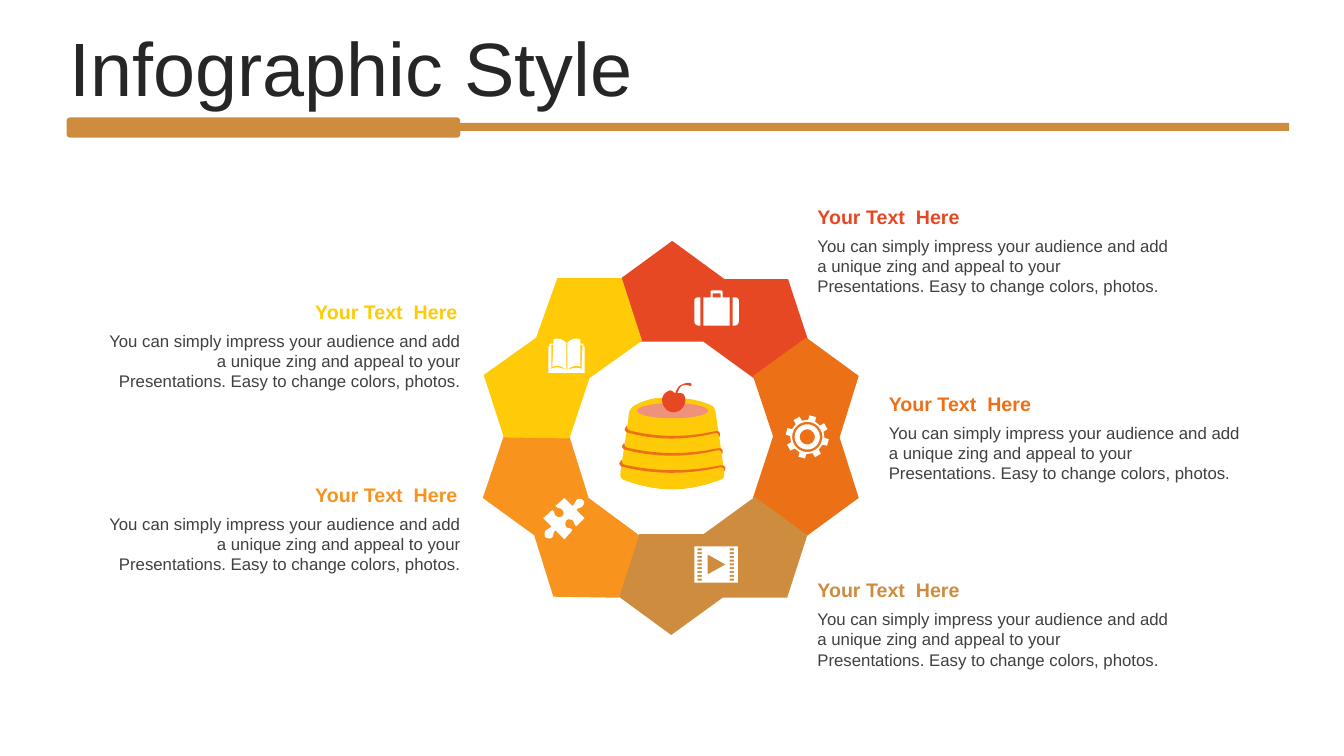
import math

import pptx
import pptx.util
from pptx.dml.color import RGBColor
from pptx.enum.shapes import MSO_SHAPE
from pptx.enum.text import MSO_ANCHOR, PP_ALIGN
from pptx.util import Cm

RED = RGBColor(0xE6, 0x48, 0x23)
ORANGE = RGBColor(0xEC, 0x70, 0x16)
BROWN = RGBColor(0xCE, 0x8D, 0x3E)
AMBER = RGBColor(0xF8, 0x93, 0x1D)
YELLOW = RGBColor(0xFF, 0xCA, 0x08)
PINK = RGBColor(0xF0, 0x91, 0x7B)
WHITE = RGBColor(0xFF, 0xFF, 0xFF)
TITLE_GREY = RGBColor(0x26, 0x26, 0x26)
BODY_GREY = RGBColor(0x40, 0x40, 0x40)

UNIT = Cm(2.54) / 100  # outlines are given in hundredths of an inch
CURVE_STEPS = 8

deck = pptx.Presentation()
deck.slide_width, deck.slide_height = Cm(33.87), Cm(19.05)
slide = deck.slides.add_slide(deck.slide_layouts[6])


def trace(outline):
    """Turn M, L and C commands into lists of points, one per contour."""
    contours, command, numbers = [], "M", []
    for word in outline.split():
        if word in "MLC":
            command = word
            continue
        numbers.append(float(word))
        if len(numbers) < (6 if command == "C" else 2):
            continue
        ends = list(zip(numbers[::2], numbers[1::2]))
        numbers = []
        if command == "M":
            contours.append(ends)
        elif command == "L":
            contours[-1] += ends
        else:
            knots = [contours[-1][-1]] + ends
            for step in range(1, CURVE_STEPS + 1):
                t = step / CURVE_STEPS
                weights = [math.comb(3, k) * t**k * (1 - t)**(3 - k) for k in range(4)]
                contours[-1].append(tuple(
                    sum(w * knot[axis] for w, knot in zip(weights, knots)) for axis in (0, 1)))
    return contours


def draw(contours, color):
    """Draw closed contours as one filled shape."""
    scaled = [[(x * UNIT, y * UNIT) for x, y in contour] for contour in contours]
    builder = slide.shapes.build_freeform(*scaled[0][0], scale=1.0)
    for number, points in enumerate(scaled):
        if number:
            builder.move_to(*points[0])
        builder.add_line_segments(points[1:], close=True)
    figure = builder.convert_to_shape()
    figure.shadow.inherit = False
    figure.fill.solid()
    figure.fill.fore_color.rgb = color
    figure.line.fill.background()


# Title with its rule
for preset, left, top, width, height in (
        (MSO_SHAPE.RECTANGLE, 7.34, 3.1, 25.15, 0.2),
        (MSO_SHAPE.ROUNDED_RECTANGLE, 1.68, 2.96, 9.92, 0.51)):
    bar = slide.shapes.add_shape(preset, Cm(left), Cm(top), Cm(width), Cm(height))
    bar.shadow.inherit = False
    bar.fill.solid()
    bar.fill.fore_color.rgb = BROWN
    bar.line.fill.background()

title = slide.shapes.add_textbox(Cm(1.5), Cm(0.81), Cm(30.91), Cm(2.01)).text_frame
title.word_wrap = True
title.vertical_anchor = MSO_ANCHOR.MIDDLE
heading = title.paragraphs[0]
heading.line_spacing = 0.9
heading.space_before = pptx.util.Pt(10)
words = heading.add_run()
words.text = "Infographic Style"
words.font.name, words.font.size = "Arial", pptx.util.Pt(54)
words.font.color.rgb = TITLE_GREY

# Ring of five segments
for outline, color in (
        ("M 667 239 L 719 277 782 277 802 338 749 376 698 339 635 339 615 277", RED),
        ("M 800 335 L 852 373 833 434 852 494 800 532 747 494 767 433 747 373", ORANGE),
        ("M 749 493 L 801 531 781 593 717 593 666 630 614 592 634 530 698 530", BROWN),
        ("M 500 432 L 565 433 584 494 634 531 614 593 549 592 530 531 479 494", AMBER),
        ("M 553 276 L 617 276 637 338 585 375 565 435 500 434 480 372 532 335", YELLOW)):
    draw(trace(outline), color)

# Callouts: heading above a short text
BLURB = ("You can simply impress your audience and add a unique zing and appeal "
         "to your Presentations. Easy to change colors, photos.")
for left, top, color, align in (
        (20.35, 14.45, BROWN, PP_ALIGN.LEFT),
        (22.15, 9.75, ORANGE, PP_ALIGN.LEFT),
        (20.35, 5.05, RED, PP_ALIGN.LEFT),
        (2.46, 12.04, AMBER, PP_ALIGN.RIGHT),
        (2.46, 7.44, YELLOW, PP_ALIGN.RIGHT)):
    for text, offset, width, height, size, bold, ink in (
            (BLURB, 0.77, 9.4, 1.8, 12, False, BODY_GREY),
            ("Your Text  Here", 0, 9.32, 0.86, 14, True, color)):
        callout = slide.shapes.add_textbox(
            Cm(left), Cm(top + offset), Cm(width), Cm(height)).text_frame
        callout.word_wrap = True
        callout.paragraphs[0].alignment = align
        words = callout.paragraphs[0].add_run()
        words.text = text
        words.font.name, words.font.size = "Arial", pptx.util.Pt(size)
        words.font.bold = bold
        words.font.color.rgb = ink

# Puzzle, book and suitcase icons
PUZZLE = """M 578 496 C 580 497 580 500 578 502 577 504 574 503 572 506 L 580 514 572 522
    C 569 520 570 518 568 516 566 515 563 515 562 516 561 518 560 521 562 523
    565 525 566 523 568 526 L 560 535 551 526 C 548 529 550 530 548 533
    546 535 543 534 541 533 540 531 540 529 541 527 543 524 545 525 547 522
    L 539 514 548 506 C 551 508 549 510 552 512 554 514 556 513 558 512
    559 511 560 508 558 506 555 503 554 505 551 502 L 560 494 568 502
    C 571 499 570 499 572 496 574 494 577 495 578 496"""
BOOK = """M 562 367 C 562 367 563 367 563 367 569 365 571 364 577 366 L 578 342 576 342 576 364
    C 572 362 567 363 563 367 L 563 340 C 565 338 568 336 571 336 572 336 574 336 576 337
    L 576 341 579 341 579 344 580 344 580 370 544 370 544 344 545 344 545 341 549 341 549 337
    C 550 336 552 336 553 336 557 336 559 338 562 340 L 562 367
    C 557 363 553 362 548 364 L 549 342 547 342 547 366 C 553 363 556 365 562 367"""
SUITCASE = """M 727 295 L 729 295 C 731 295 733 296 733 298 L 733 319 C 733 321 731 323 729 323 L 727 323
    M 693 295 L 695 295 695 323 693 323 C 691 323 689 321 689 319 L 689 298 C 689 296 691 295 693 295
    M 709 291 C 708 291 707 291 707 292 L 707 295 715 295 715 292 C 715 291 714 291 714 291
    M 707 288 L 715 288 C 716 288 717 289 717 290 L 717 295 724 295 724 323 698 323 698 295 705 295
    705 290 C 705 289 706 288 707 288"""
for icon in (PUZZLE, BOOK, SUITCASE):
    draw(trace(icon), WHITE)

# Film icon: frame, play triangle and two columns of nine holes
film = "M 689 542 L 732 542 732 578 689 578 M 702 550 L 702 570 720 560"
for row in range(9):
    y = 544 + 3.75 * row
    for x in (692, 724):
        film += f" M {x} {y} L {x} {y + 2} {x + 4.5} {y + 2} {x + 4.5} {y}"
draw(trace(film), WHITE)

# Gear icon: eight teeth around three circles
polar = [[(radius, 45 * tooth - 75 + turn) for tooth in range(8)
          for radius, turn in ((17, -12), (21.5, -9), (21.5, 9), (17, 12))]]
polar += [[(radius, angle) for angle in range(0, 360, 10)] for radius in (15, 12.5, 7.5)]
draw([[(801 + r * math.cos(math.radians(a)), 433.5 + r * math.sin(math.radians(a)))
       for r, a in contour] for contour in polar], WHITE)

# Cake: body, icing, three stripes and a cherry
draw(trace("""M 718 465 C 718 464 711 415 710 410 710 405 707 402 703 401 683 392 654 395 651 395
    644 396 638 398 632 401 627 403 625 406 624 410 624 415 616 464 616 465
    615 475 615 475 624 478 653 488 681 488 709 478 719 475 719 475 718 465"""), YELLOW)

icing = slide.shapes.add_shape(MSO_SHAPE.OVAL, Cm(16.05), Cm(10.16), Cm(1.8), Cm(0.38))
icing.shadow.inherit = False
icing.fill.solid()
icing.fill.fore_color.rgb = PINK
icing.line.fill.background()

STRIPE = """M -50.5 0 C -50.5 5 -48.5 5 -43.5 6 -14.5 12 15.5 12 45.5 6 50.5 5 53.5 6 51.5 12
    50.5 8 49.5 7 45.5 8 13.5 15 -18.5 15 -50.5 7 -55.5 4 -51.5 2 -50.5 0"""
for top, stretch in ((456, 1), (439, 0.95), (422, 0.9)):
    draw([[(667.5 + stretch * x, top + y) for x, y in contour]
          for contour in trace(STRIPE)], ORANGE)

draw(trace("""M 680 398 C 680 394 679 392 678 391 675 389 674 390 672 390 673 388 674 385 675 384
    677 382 681 381 685 383 686 383 687 381 685 380 682 379 677 381 674 383
    673 384 671 387 670 390 667 389 667 386 663 388 659 390 657 393 657 397
    657 403 662 409 668 409 675 409 679 404 680 398"""), RED)

deck.save("out.pptx")
